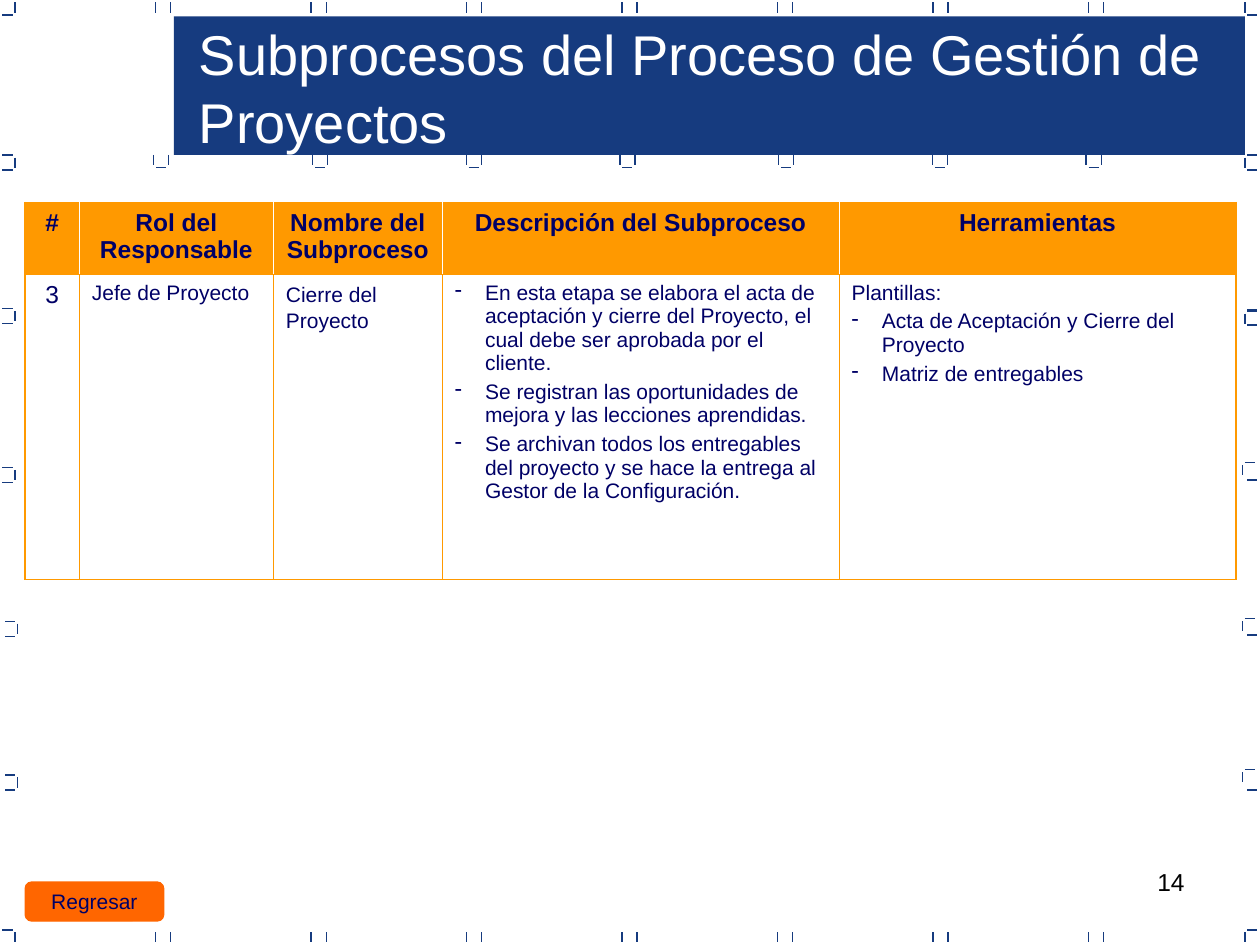
from lxml import etree
from pptx import Presentation
from pptx.dml.color import RGBColor
from pptx.enum.shapes import MSO_CONNECTOR, MSO_SHAPE
from pptx.enum.text import MSO_ANCHOR, PP_ALIGN
from pptx.oxml.ns import qn
from pptx.util import Inches, Pt

LEFT, CENTER, RIGHT = PP_ALIGN.LEFT, PP_ALIGN.CENTER, PP_ALIGN.RIGHT
TOP, MIDDLE = MSO_ANCHOR.TOP, MSO_ANCHOR.MIDDLE
RECTANGLE = MSO_SHAPE.RECTANGLE
BUTTON = MSO_SHAPE.FLOWCHART_ALTERNATE_PROCESS
STRAIGHT = MSO_CONNECTOR.STRAIGHT

COLORS = {"blue": "163B7F", "orange": "FF9900", "button": "FF6600",
          "navy": "000066", "white": "FFFFFF", "black": "000000"}
FONT = "Arial"
COLUMNS, ROWS = 100, 75  # grid of the slide
BULLET_INDENT = 2.4


def rgb(name):
    return RGBColor.from_string(COLORS[name])


class Deck:
    """Holds the style and the current slide; lengths are grid units."""

    def __init__(self):
        self.prs = Presentation()
        self.prs.slide_width, self.prs.slide_height = Inches(10), Inches(7.5)
        self.slide = self.prs.slides.add_slide(self.prs.slide_layouts[6])

    def x(self, columns):
        return round(self.prs.slide_width * columns / COLUMNS)

    def y(self, rows):
        return round(self.prs.slide_height * rows / ROWS)

    def box(self, left, top, width, height):
        return self.x(left), self.y(top), self.x(width), self.y(height)

    def style(self, paragraph, size, color, align=LEFT, bold=False):
        paragraph.alignment = align
        font = paragraph.font
        font.name, font.size, font.bold = FONT, Pt(size), bold
        font.color.rgb = rgb(color)

    def bullet(self, paragraph):
        properties = paragraph._p.get_or_add_pPr()
        indent = self.x(BULLET_INDENT)
        properties.set("marL", str(indent))
        properties.set("indent", str(-indent))
        etree.SubElement(properties, qn("a:buChar")).set("char", "-")

    def text(self, area, words, size, color, align=LEFT):
        frame = self.slide.shapes.add_textbox(*self.box(*area)).text_frame
        frame.word_wrap = True
        frame.vertical_anchor = TOP
        frame.text = words
        self.style(frame.paragraphs[0], size, color, align)

    def shape(self, kind, area, fill, words=""):
        shape = self.slide.shapes.add_shape(kind, *self.box(*area))
        shape.shadow.inherit = False
        shape.fill.solid()
        shape.fill.fore_color.rgb = rgb(fill)
        shape.line.fill.background()
        if words:
            shape.line.color.rgb = rgb(fill)
            shape.line.width = Pt(0.75)
            frame = shape.text_frame
            frame.word_wrap = False
            frame.vertical_anchor = MIDDLE
            frame.text = words
            self.style(frame.paragraphs[0], 12, "navy", CENTER)

    def line(self, x1, y1, x2, y2):
        line = self.slide.shapes.add_connector(
            STRAIGHT, self.x(x1), self.y(y1), self.x(x2), self.y(y2))
        line.line.color.rgb = rgb("blue")
        line.line.width = Pt(0.75)
        etree.SubElement(line._element.spPr, qn("a:effectLst"))

    def mark(self, x, y, sides):
        """Draws the given sides (l, r, t, b) of a small open square."""
        reach, half = 0.6, 0.4
        for side in sides:
            sign = -1 if side in "lt" else 1
            if side in "lr":
                across = x + sign * reach
                self.line(across, y - half, across, y + half)
            else:
                down = y + sign * reach
                self.line(x - half, down, x + half, down)

    def borders(self, cell, edges):
        properties = cell._tc.get_or_add_tcPr()
        for side in "LRTB":
            color, width = edges[side]
            line = etree.SubElement(properties, qn(f"a:ln{side}"), w=str(Pt(width)))
            fill = etree.SubElement(line, qn("a:solidFill"))
            etree.SubElement(fill, qn("a:srgbClr"), val=COLORS[color])

    def table(self, left, top, widths, heights, contents):
        """Each cell is a list of (text, size, align, bulleted, line spacing)."""
        area = self.box(left, top, sum(widths), sum(heights))
        table = self.slide.shapes.add_table(len(heights), len(widths), *area).table
        for column, width in zip(table.columns, widths):
            column.width = self.x(width)
        for row, height in zip(table.rows, heights):
            row.height = self.y(height)
        outer, inner = ("orange", 1.08), ("orange", 0.75)
        last = len(widths) - 1
        for r, row in enumerate(contents):
            header = r == 0
            divider = ("white", 0.45) if header else inner
            for c, paragraphs in enumerate(row):
                cell = table.cell(r, c)
                self.borders(cell, {
                    "L": outer if c == 0 else divider,
                    "R": outer if c == last else divider,
                    "T": outer if header else inner,
                    "B": inner if header else outer})
                if header:
                    cell.fill.solid()
                    cell.fill.fore_color.rgb = rgb("orange")
                else:
                    cell.fill.background()
                frame = cell.text_frame
                for i, (words, size, align, bulleted, spacing) in enumerate(paragraphs):
                    paragraph = frame.add_paragraph() if i else frame.paragraphs[0]
                    paragraph.text = words
                    if i:
                        paragraph.space_before = Pt(3)
                    if spacing != 1:
                        paragraph.line_spacing = spacing
                    if bulleted:
                        self.bullet(paragraph)
                    self.style(paragraph, size, "navy", align, header)


def large(words):
    return words, 14, CENTER, False, 1


def plain(words, spacing=1):
    return words, 12, LEFT, False, spacing


def item(words):
    return words, 12, LEFT, True, 1


def main():
    deck = Deck()

    # Title banner and page number
    deck.shape(RECTANGLE, (13.8, 1.3, 85, 11), "blue")
    deck.text((71.7, 68.3, 23.3, 5.2), "14", 14, "black", RIGHT)

    # Marks along the top and bottom edges and under the banner
    for i in range(7):
        for y in (0.6, 74.4):
            deck.mark(12.95 + 12.34 * i, y, "lr")
    for x in (12.8, 25.4, 37.6, 49.8, 62.4, 74.6, 86.8):
        deck.mark(x, 12.7, "lrb")

    # Marks along the left and right edges
    side_marks = [
        (0.6, 0.6, "rb"), (0.6, 12.9, "rtb"), (0.6, 25.1, "rtb"),
        (0.6, 37.7, "rtb"), (0.8, 49.9, "rtb"), (0.8, 62.1, "rtb"),
        (0.6, 74.4, "rt"),
        (99.4, 0.6, "lb"), (99.4, 12.9, "ltb"), (99.4, 25.2, "tb"),
        (99.4, 25.3, "lt"), (99.2, 37.3, "lt"), (99.4, 37.5, "b"),
        (99.2, 49.7, "lt"), (99.4, 49.8, "b"), (99.2, 61.7, "lt"),
        (99.4, 62.1, "b"), (99.4, 74.4, "lt")]
    for x, y, sides in side_marks:
        deck.mark(x, y, sides)

    # Subprocess table
    headings = ["#", "Rol del Responsable", "Nombre del Subproceso",
                "Descripción del Subproceso", "Herramientas"]
    closing = [
        [large("3")],
        [plain("Jefe de Proyecto")],
        [plain("Cierre del Proyecto", 1.1)],
        [item("En esta etapa se elabora el acta de aceptación y cierre del "
              "Proyecto, el cual debe ser aprobada por el cliente."),
         item("Se registran las oportunidades de mejora y las lecciones aprendidas."),
         item("Se archivan todos los entregables del proyecto y se hace la "
              "entrega al Gestor de la Configuración.")],
        [plain("Plantillas:"),
         item("Acta de Aceptación y Cierre del Proyecto"),
         item("Matriz de entregables")]]
    deck.table(2, 16.1, (4.3, 15.4, 13.4, 31.5, 31.5), (5.7, 24.2),
               [[[large(heading)] for heading in headings], closing])

    # Return button and title
    deck.shape(BUTTON, (2, 70, 11, 3.1), "button", "Regresar")
    deck.text((14.8, 1.1, 83.2, 11.7),
              "Subprocesos del Proceso de Gestión de Proyectos", 32, "white")

    deck.prs.save("out.pptx")


if __name__ == "__main__":
    main()
